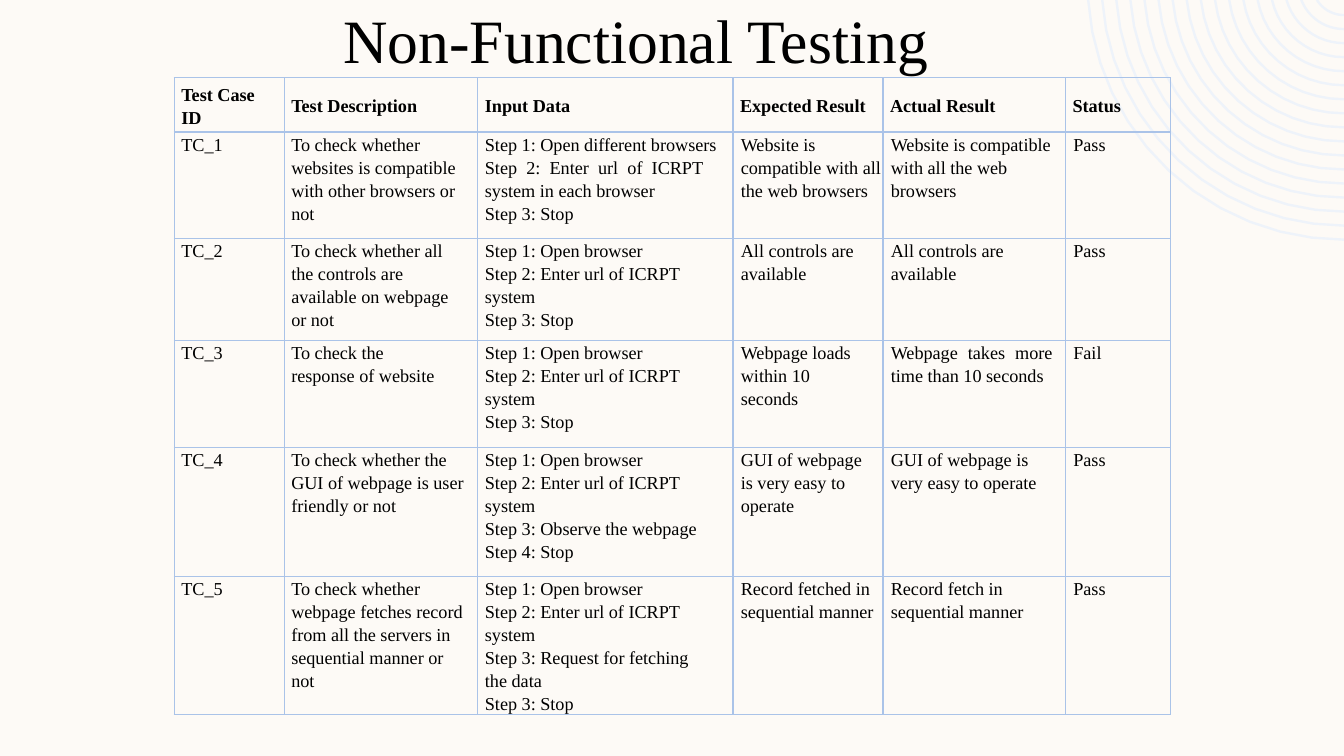
import math
from lxml import etree
from pptx import Presentation
from pptx.dml.color import RGBColor
from pptx.enum import text
from pptx.oxml import ns
from pptx.util import Cm, Pt

CREAM = RGBColor(0xFD, 0xFA, 0xF6)
PALE_BLUE = RGBColor(0xEE, 0xF3, 0xFA)
BORDER = RGBColor(0xAA, 0xC3, 0xE8)
BLACK = RGBColor(0, 0, 0)
FONT = "Times New Roman"

COL_WIDTHS = [2.77, 4.88, 6.43, 3.78, 4.6, 2.64]
ROW_HEIGHTS = [1.37, 2.69, 2.57, 2.69, 3.25, 3.48]
LEFT_INDENTS = [0.18, 0.18, 0.18, 0.2, 0.2, 0.2]
RIGHT_INDENTS = [0, 0.25, 0.76, 0, 0.33, 0]
CELL_RIGHT_INDENTS = {(3, 1): 0.76, (3, 3): 0.4, (4, 3): 0.25}
JUSTIFIED = {(1, 2), (3, 4)}

OPEN_STEPS = "Step 1: Open browser\nStep 2: Enter url of ICRPT system\n"
TEST_CASES = [
    ["Test Case ID", "Test Description", "Input Data", "Expected Result",
     "Actual Result", "Status"],
    ["TC_1", "To check whether websites is compatible with other browsers or not",
     "Step 1: Open different browsers\n"
     "Step 2: Enter url of ICRPT system in each browser\nStep 3: Stop",
     "Website is compatible with all the web browsers",
     "Website is compatible with all the web browsers", "Pass"],
    ["TC_2", "To check whether all the controls are available on webpage or not",
     OPEN_STEPS + "Step 3: Stop",
     "All controls are available", "All controls are available", "Pass"],
    ["TC_3", "To check the response of website",
     OPEN_STEPS + "Step 3: Stop",
     "Webpage loads within 10 seconds",
     "Webpage takes more time than 10 seconds", "Fail"],
    ["TC_4", "To check whether the GUI of webpage is user friendly or not",
     OPEN_STEPS + "Step 3: Observe the webpage\nStep 4: Stop",
     "GUI of webpage is very easy to operate",
     "GUI of webpage is very easy to operate", "Pass"],
    ["TC_5", "To check whether webpage fetches record from all the servers in "
     "sequential manner or not",
     OPEN_STEPS + "Step 3: Request for fetching the data\nStep 3: Stop",
     "Record fetched in sequential manner",
     "Record fetch in sequential manner", "Pass"],
]


def add_rings(s, cx, cy, inner=0.8, outer=6.46, count=17, steps=12):
    """Draw the quarter rings lying left of cx and below the slide's top edge."""
    def arc(r):
        start, end = math.pi / 2, math.pi - math.asin(-cy / r)
        angles = [start + (end - start) * i / steps for i in range(steps + 1)]
        return [(round(1000 * (cx + r * math.cos(a))),
                 round(1000 * (cy + r * math.sin(a)))) for a in angles]

    first, *rest = [arc(inner + i * (outer - inner) / (count - 1))
                    for i in range(count)]
    fb = s.shapes.build_freeform(*first[0], scale=Cm(1) / 1000)
    fb.add_line_segments(first[1:], close=False)
    for points in rest:
        fb.move_to(*points[0])
        fb.add_line_segments(points[1:], close=False)
    sp = fb.convert_to_shape()
    sp.shadow.inherit = False
    sp.fill.background()
    sp.line.color.rgb = PALE_BLUE
    sp.line.width = Cm(0.06)


def set_font(p, size, bold=False):
    f = p.font
    f.name, f.size, f.bold = FONT, Pt(size), bold
    f.color.rgb = BLACK


def add_title(s, x, y, w, h):
    sp = s.shapes.title
    sp.left, sp.top, sp.width, sp.height = Cm(x), Cm(y), Cm(w), Cm(h)
    tf = sp.text_frame
    tf.text = "Non-Functional Testing"
    tf.auto_size = text.MSO_AUTO_SIZE.NONE
    tf.vertical_anchor = text.MSO_ANCHOR.BOTTOM
    tf.margin_bottom = Cm(0.05)
    p = tf.paragraphs[0]
    p.alignment = text.PP_ALIGN.CENTER
    set_font(p, 44)


def set_borders(cell, widths):
    tcPr = cell._tc.get_or_add_tcPr()
    for i, (side, width) in enumerate(widths.items()):
        ln = etree.Element(ns.qn("a:" + side), w=str(Pt(width)))
        fill = etree.SubElement(ln, ns.qn("a:solidFill"))
        etree.SubElement(fill, ns.qn("a:srgbClr"), val=str(BORDER))
        tcPr.insert(i, ln)


def fill_cell(cell, row, col):
    header = row == 0
    cell.fill.background()
    cell.margin_left = cell.margin_right = Cm(0.18 if header else 0)
    cell.margin_top = cell.margin_bottom = 0
    cell.vertical_anchor = text.MSO_ANCHOR.MIDDLE if header else text.MSO_ANCHOR.TOP
    set_borders(cell, {"lnL": 1, "lnR": 1, "lnT": 2 if row == 1 else 1,
                       "lnB": 2 if header else 1})
    cell.text = TEST_CASES[row][col]
    right = CELL_RIGHT_INDENTS.get((row, col), RIGHT_INDENTS[col])
    for i, p in enumerate(cell.text_frame.paragraphs):
        p.line_spacing = 1.15
        if (row, col) in JUSTIFIED:
            p.alignment = text.PP_ALIGN.JUSTIFY
        if not header:
            pPr = p._p.get_or_add_pPr()
            pPr.set("marL", str(Cm(LEFT_INDENTS[col])))
            pPr.set("indent", "0")
            if col != 2 or i > 0:
                pPr.set("marR", str(Cm(right)))
        set_font(p, 13, header)


def add_test_table(s, x, y):
    tbl = s.shapes.add_table(len(ROW_HEIGHTS), len(COL_WIDTHS), Cm(x), Cm(y),
                             Cm(sum(COL_WIDTHS)), Cm(sum(ROW_HEIGHTS))).table
    tbl.first_row = tbl.horz_banding = False
    for column, width in zip(tbl.columns, COL_WIDTHS):
        column.width = Cm(width)
    for row, height in enumerate(ROW_HEIGHTS):
        tbl.rows[row].height = Cm(height)
        for col in range(len(COL_WIDTHS)):
            fill_cell(tbl.cell(row, col), row, col)


def main():
    prs = Presentation()
    prs.slide_width, prs.slide_height = Cm(33.87), Cm(19.05)
    s = prs.slides.add_slide(prs.slide_layouts[5])
    s.background.fill.solid()
    s.background.fill.fore_color.rgb = CREAM
    add_rings(s, 33.87, -0.42)
    add_title(s, 3.76, -0.41, 24.54, 2.36)
    add_test_table(s, 4.39, 1.96)
    prs.save("out.pptx")


if __name__ == "__main__":
    main()
